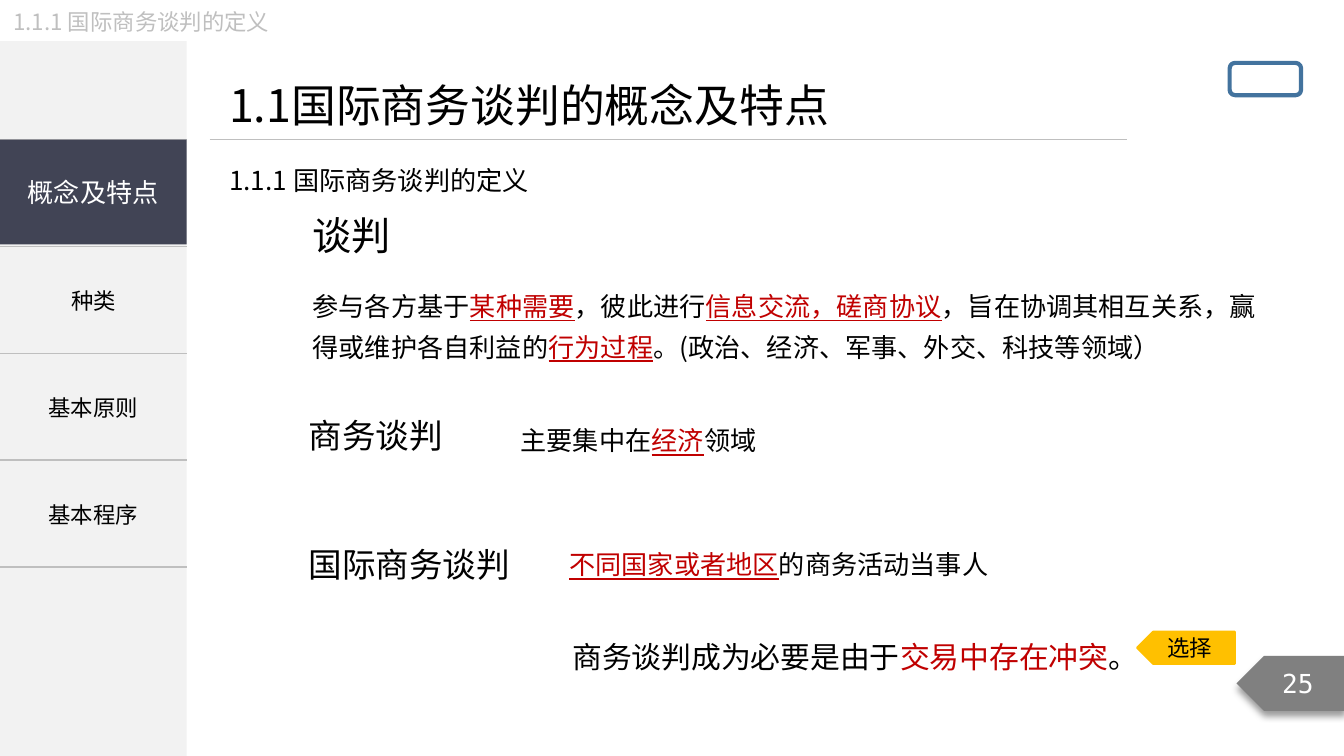
"""Build the slide that defines international business negotiation."""
from dataclasses import dataclass
from typing import Any

from lxml.etree import SubElement
from pptx import Presentation
from pptx.dml.color import RGBColor
from pptx.enum.shapes import MSO_CONNECTOR, MSO_SHAPE
from pptx.enum.text import MSO_ANCHOR, MSO_AUTO_SIZE, PP_ALIGN
from pptx.oxml import parse_xml
from pptx.oxml.ns import nsdecls, qn
from pptx.util import Cm, Pt


@dataclass(frozen=True)
class Theme:
    font: str = "Noto Sans CJK SC"
    number_font: str = "DejaVu Sans Mono"
    black: str = "000000"
    white: str = "FFFFFF"
    red: str = "C00000"
    panel: str = "F2F2F2"
    active: str = "414455"
    rule: str = "BFBFBF"
    marker: str = "808080"
    accent: str = "FFC000"
    outline: str = "43739E"
    title: float = 24
    term: float = 21
    heading: float = 18
    conclusion: float = 16
    body: float = 14
    small: float = 12


@dataclass
class SlideBuilder:
    theme: Theme
    page: Any

    def apply(self, target, values):
        for name, value in values.items():
            setattr(target, name, value)

    def spans(self, paragraph, parts, size, color, font=None):
        font = font or self.theme.font
        for part in parts:
            text, changes = (part, {}) if isinstance(part, str) else part
            span = paragraph.add_run()
            span.text = text
            span.font.color.rgb = RGBColor.from_string(changes.get("color", color))
            underline = changes.get("underline", False)
            self.apply(span.font, {"name": font, "size": Pt(size), "underline": underline})
            SubElement(span.font._element, qn("a:ea"), typeface=font)

    def frame(self, frame, tight=True, **values):
        side, edge = (Cm(0.19), Cm(0.1)) if tight else (Cm(0.25), Cm(0.13))
        margins = {"margin_left": side, "margin_right": side,
                   "margin_top": edge, "margin_bottom": edge}
        self.apply(frame, {**margins, **values})

    def text(self, place, parts, size, wrap=False, spacing=None, tight=True, color=None):
        box = self.page.shapes.add_textbox(*map(Cm, place))
        self.frame(box.text_frame, tight, word_wrap=wrap,
                   auto_size=MSO_AUTO_SIZE.SHAPE_TO_FIT_TEXT)
        paragraph = box.text_frame.paragraphs[0]
        paragraph.line_spacing = spacing
        self.spans(paragraph, parts, size, color or self.theme.black)

    def shape(self, kind, place, fill=None, line=None, width=1, flip=False):
        shape = self.page.shapes.add_shape(kind, *map(Cm, place))
        shape.shadow.inherit = False
        for paint, color in ((shape.fill, fill), (shape.line.fill, line)):
            if color:
                paint.solid()
                paint.fore_color.rgb = RGBColor.from_string(color)
            else:
                paint.background()
        if line:
            shape.line.width = Pt(width)
        if flip:
            shape._element.spPr.find(qn("a:xfrm")).set("flipH", "1")
        return shape

    def label(self, shape, text, size, color, font=None):
        self.frame(shape.text_frame, vertical_anchor=MSO_ANCHOR.MIDDLE, word_wrap=True)
        paragraph = shape.text_frame.paragraphs[0]
        paragraph.alignment = PP_ALIGN.CENTER
        self.spans(paragraph, [text], size, color, font)

    def drop_shadow(self, shape):
        effects = shape._element.spPr.find(qn("a:effectLst"))
        effects.append(parse_xml(
            f'<a:outerShdw {nsdecls("a")} blurRad="{Pt(4)}" dist="{Pt(3)}" dir="5400000" '
            'rotWithShape="0"><a:srgbClr val="000000"><a:alpha val="40000"/>'
            '</a:srgbClr></a:outerShdw>'))

    def line(self, start, end, color, width):
        line = self.page.shapes.add_connector(MSO_CONNECTOR.STRAIGHT, *map(Cm, start + end))
        line.line.color.rgb = RGBColor.from_string(color)
        line.line.width = Pt(width)
        SubElement(line._element.spPr, qn("a:effectLst"))

    def borders(self, cell):
        paint = f'<a:solidFill><a:srgbClr val="{self.theme.rule}"/></a:solidFill>'
        sides = {"L": "<a:noFill/>", "R": "<a:noFill/>", "T": paint, "B": paint}
        for index, (side, fill) in enumerate(sides.items()):
            cell._tc.get_or_add_tcPr().insert(index, parse_xml(
                f'<a:ln{side} {nsdecls("a")} w="{Pt(1)}">{fill}</a:ln{side}>'))

    def menu(self, left, top, width, row_height, names):
        count = len(names)
        table = self.page.shapes.add_table(
            count, 1, Cm(left), Cm(top), Cm(width), Cm(row_height * count)).table
        self.apply(table, {"first_row": False, "horz_banding": False})
        for row, name in enumerate(names):
            cell = table.cell(row, 0)
            cell.fill.background()
            self.borders(cell)
            self.frame(cell, vertical_anchor=MSO_ANCHOR.MIDDLE)
            if name:
                paragraph = cell.text_frame.paragraphs[0]
                paragraph.alignment = PP_ALIGN.CENTER
                self.spans(paragraph, [name], self.theme.small, self.theme.black)


def main():
    deck = Presentation()
    deck.slide_width, deck.slide_height = Cm(25.4), Cm(14.29)
    theme = Theme()
    slide = SlideBuilder(theme, deck.slides.add_slide(deck.slide_layouts[6]))
    key = {"color": theme.red, "underline": True}
    section = "1.1.1 国际商务谈判的定义"
    menu_top, menu_width = 2.64, 3.53

    slide.shape(MSO_SHAPE.RECTANGLE, (0, 0.78, menu_width, 13.51), theme.panel)
    slide.menu(0, menu_top, menu_width, 2.02, ["", "种类", "基本原则", "基本程序"])
    active = slide.shape(MSO_SHAPE.RECTANGLE, (0, menu_top, menu_width, 1.98), theme.active)
    slide.label(active, "概念及特点", theme.body, theme.white)

    slide.line((3.96, menu_top), (21.29, menu_top), theme.rule, 0.5)
    slide.text((4.14, 1.37, 11.94, 1.22), ["1.1国际商务谈判的概念及特点"], theme.title)
    number = slide.shape(MSO_SHAPE.PENTAGON, (23.37, 12.4, 2.06, 1.04), theme.marker, flip=True)
    slide.drop_shadow(number)
    slide.label(number, "25", theme.body, theme.white, theme.number_font)

    slide.text((5.72, 5.21, 18.34, 1.75), [
        "参与各方基于", ("某种需要", key), "，彼此进行", ("信息交流，磋商协议", key),
        "，旨在协调其相互关系，赢得或维护各自利益的", ("行为过程", key),
        "。(政治、经济、军事、外交、科技等领域）",
    ], theme.body, wrap=True, spacing=1.3)
    slide.text((5.64, 7.75, 2.95, 0.97), ["商务谈判"], theme.heading)
    slide.text((9.65, 7.75, 5.84, 0.97), ["主要集中在", ("经济", key), "领域"],
               theme.body, wrap=True, spacing=1.3)
    slide.text((10.57, 10.24, 8.61, 0.84), [("不同国家或者地区", key), "的商务活动当事人"],
               theme.body, wrap=True, spacing=Pt(17.8))
    slide.text((5.64, 10.19, 4.24, 0.97), ["国际商务谈判"], theme.heading)
    slide.text((5.72, 3.89, 8.86, 1.09), ["谈判"], theme.term, wrap=True)
    slide.text((4.14, 3, 6.38, 0.79), [section], theme.body)
    slide.text((0, 0.03, 8.1, 0.76), [section], theme.small, wrap=True, tight=False,
               color=theme.rule)

    slide.shape(MSO_SHAPE.ROUNDED_RECTANGLE, (23.24, 1.19, 1.35, 0.61),
                line=theme.outline, width=2.25)
    slide.text((10.57, 11.94, 11.35, 0.94), [
        "商务谈判成为必要是由于", ("交易中存在冲突", {"color": theme.red}), "。",
    ], theme.conclusion, tight=False)
    choice = slide.shape(MSO_SHAPE.PENTAGON, (21.49, 11.94, 1.85, 0.61),
                         theme.accent, theme.accent, flip=True)
    slide.label(choice, "选择", theme.small, theme.black)
    deck.save("out.pptx")


if __name__ == "__main__":
    main()
